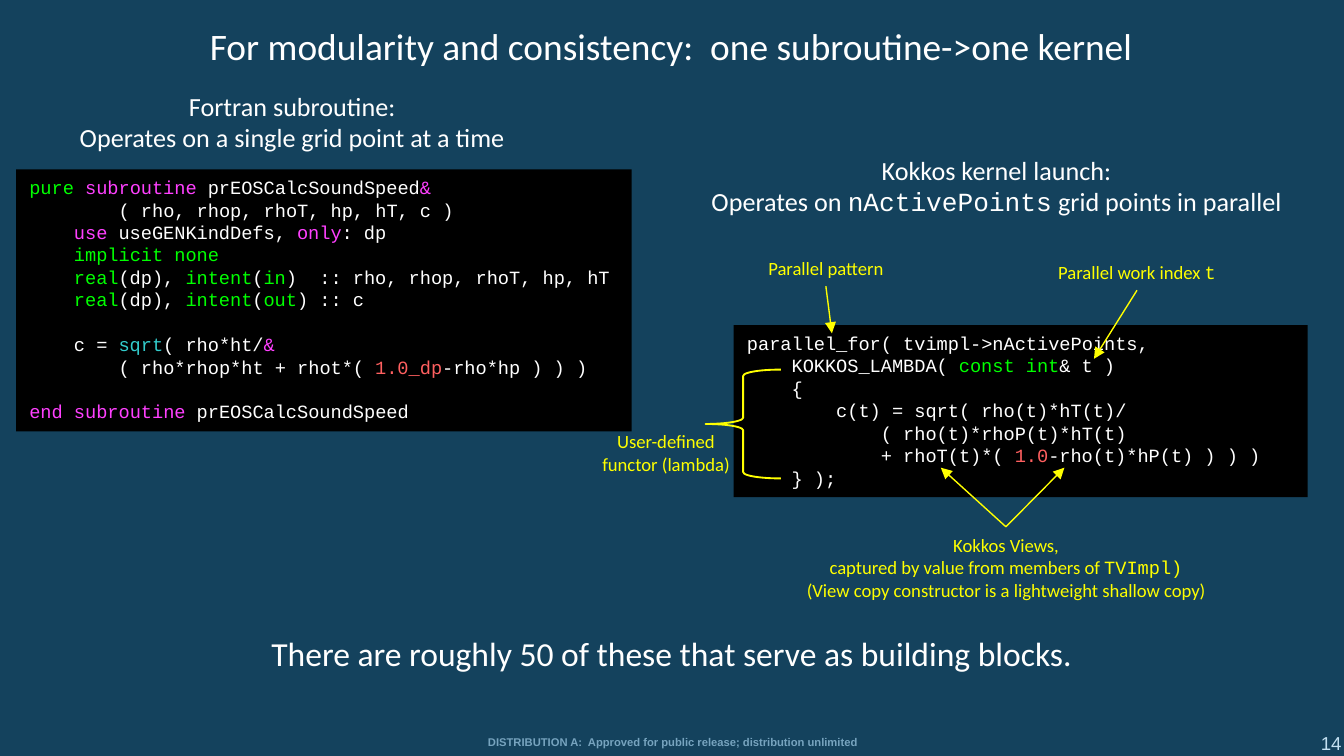
import lxml.etree
import pptx
import pptx.dml.color
import pptx.enum.shapes
import pptx.enum.text
import pptx.oxml.ns
import pptx.util

RGB = pptx.dml.color.RGBColor
SHAPE = pptx.enum.shapes.MSO_SHAPE
ALIGN = pptx.enum.text.PP_ALIGN
ANCHOR = pptx.enum.text.MSO_ANCHOR
qn = pptx.oxml.ns.qn

NAVY = RGB(0x14, 0x42, 0x5D)
WHITE = RGB(0xFF, 0xFF, 0xFF)
BLACK = RGB(0x00, 0x00, 0x00)
YELLOW = RGB(0xFF, 0xFF, 0x00)
GREEN = RGB(0x00, 0xFF, 0x00)
MAGENTA = RGB(0xFF, 0x40, 0xFF)
RED = RGB(0xFF, 0x60, 0x60)
CYAN = RGB(0x33, 0xCC, 0xCC)
PALE = RGB(0xC4, 0xE1, 0xF2)
MUTED = RGB(0x77, 0xA4, 0xBF)

BODY, MONO, PLAIN = "Calibri", "Courier New", "Arial"

# A 16:9 slide on a grid of 100 columns by 56.25 rows
WIDTH = pptx.util.Inches(10)
HEIGHT = WIDTH * 9 // 16
COL, ROW = WIDTH / 100, HEIGHT / 56.25

# Code lines are lists of runs: a plain string is white, a pair carries its colour
INTENT = [("real", GREEN), "(dp), ", ("intent", GREEN), "("]
FORTRAN = [
    [("pure ", GREEN), ("subroutine ", MAGENTA), "prEOSCalcSoundSpeed", ("&", MAGENTA)],
    ["        ( rho, rhop, rhoT, hp, hT, c )"],
    ["    ", ("use ", MAGENTA), "useGENKindDefs, ", ("only", MAGENTA), ": dp"],
    ["    ", ("implicit none", GREEN)],
    ["    ", *INTENT, ("in", GREEN), ")  :: rho, rhop, rhoT, hp, hT"],
    ["    ", *INTENT, ("out", GREEN), ") :: c"],
    [],
    ["    c = ", ("sqrt", CYAN), "( rho*ht/", ("&", MAGENTA)],
    ["        ( rho*rhop*ht + rhot*( ", ("1.0_dp", RED), "-rho*hp ) ) )"],
    [],
    [("end subroutine ", MAGENTA), "prEOSCalcSoundSpeed"],
]
KOKKOS = [
    ["parallel_for( tvimpl->nActivePoints,"],
    ["    KOKKOS_LAMBDA( ", ("const int", GREEN), "& t )"],
    ["    {"],
    ["        c(t) = sqrt( rho(t)*hT(t)/"],
    ["            ( rho(t)*rhoP(t)*hT(t)"],
    ["            + rhoT(t)*( ", ("1.0", RED), "-rho(t)*hP(t) ) ) )"],
    ["    } );"],
]


def cells(x, y, w, h):
    return round(x * COL), round(y * ROW), round(w * COL), round(h * ROW)


def add_run(p, text, size, font, color, bold=False):
    r = p.add_run()
    r.text = text
    r.font.size = pptx.util.Pt(size)
    r.font.name = font
    r.font.bold = bold
    r.font.color.rgb = color


def add_paragraphs(tf, lines, align):
    """Yield one paragraph with its line for every entry of lines."""
    tf.word_wrap = True
    for i, line in enumerate(lines):
        p = tf.add_paragraph() if i else tf.paragraphs[0]
        p.alignment = align
        yield p, line


def add_label(s, box, lines, size, color, font=BODY, bold=False, align=ALIGN.CENTER):
    """Text box; within a line, every second run is monospaced."""
    sp = s.shapes.add_textbox(*cells(*box))
    for p, line in add_paragraphs(sp.text_frame, lines, align):
        for i, text in enumerate(line):
            add_run(p, text, size, MONO if i % 2 else font, color, bold)
    return sp


def add_code(s, box, lines, size=10):
    sp = s.shapes.add_shape(SHAPE.RECTANGLE, *cells(*box))
    sp.shadow.inherit = False
    sp.fill.solid()
    sp.fill.fore_color.rgb = BLACK
    sp.line.fill.background()
    sp.text_frame.vertical_anchor = ANCHOR.TOP
    for p, line in add_paragraphs(sp.text_frame, lines, ALIGN.LEFT):
        for run in line:
            text, color = (run, WHITE) if isinstance(run, str) else run
            add_run(p, text, size, MONO, color)
        if not line:
            lxml.etree.SubElement(p._p, qn("a:endParaRPr"), sz=str(size * 100))


def add_pointer(s, label, side, x, y):
    """Arrow from the middle of a label's side to a grid position."""
    end = round(x * COL), round(y * ROW)
    c = s.shapes.add_connector(pptx.enum.shapes.MSO_CONNECTOR.STRAIGHT, 0, 0, *end)
    c.begin_connect(label, side)
    c.line.color.rgb = YELLOW
    c.line.width = pptx.util.Pt(0.75)
    lxml.etree.SubElement(c.line._get_or_add_ln(), qn("a:tailEnd"), type="triangle")
    lxml.etree.SubElement(c._element.spPr, qn("a:effectLst"))


def add_brace(s, box):
    sp = s.shapes.add_shape(SHAPE.LEFT_BRACE, *cells(*box))
    sp.shadow.inherit = False
    sp.fill.background()
    sp.line.color.rgb = YELLOW
    sp.line.width = pptx.util.Pt(1)


def set_title(s, box, text):
    sp = s.shapes.title
    sp.left, sp.top, sp.width, sp.height = cells(*box)
    sp.text_frame.vertical_anchor = ANCHOR.MIDDLE
    for p, line in add_paragraphs(sp.text_frame, [text], ALIGN.CENTER):
        add_run(p, line, 20, BODY, WHITE)


def main():
    prs = pptx.Presentation()
    prs.slide_width, prs.slide_height = WIDTH, HEIGHT
    s = prs.slides.add_slide(prs.slide_layouts[5])
    s.background.fill.solid()
    s.background.fill.fore_color.rgb = NAVY

    # Footer and page number
    add_label(s, (95, 54, 5.8, 2.7), [["14"]], 10, PALE, PLAIN, align=ALIGN.RIGHT)
    add_label(s, (4.2, 54.2, 91.7, 2),
              [["DISTRIBUTION A:  Approved for public release; distribution unlimited"]],
              6, MUTED, PLAIN, bold=True)

    # Title and closing statement
    set_title(s, (0, 1.2, 99.9, 4.4),
              "For modularity and consistency:  one subroutine->one kernel")
    add_label(s, (17.1, 46.6, 65.8, 4),
              [["There are roughly 50 of these that serve as building blocks."]], 18, WHITE)

    # Headings of the two listings
    add_label(s, (4.3, 6.2, 34.9, 5.7),
              [["Fortran subroutine:"], ["Operates on a single grid point at a time"]], 14, WHITE)
    add_label(s, (51.7, 11, 44.9, 5.7),
              [["Kokkos kernel launch:"],
               ["Operates on ", "nActivePoints", " grid points in parallel"]], 14, WHITE)

    # Code listings
    add_code(s, (54.6, 24.2, 42.7, 12.8), KOKKOS)
    add_code(s, (1.2, 12.6, 45.8, 19.5), FORTRAN)

    # Annotations of the kernel
    views = add_label(s, (52.4, 39.2, 44.9, 6.1),
                      [["Kokkos Views,"],
                       ["captured by value from members of ", "TVImpl)"],
                       ["(View copy constructor is a lightweight shallow copy)"]], 10, YELLOW)
    pattern = add_label(s, (55.6, 18.6, 11.7, 2.7), [["Parallel pattern"]], 10, YELLOW)
    index = add_label(s, (77.5, 18.9, 14.2, 2.7), [["Parallel work index ", "t"]], 10, YELLOW)
    add_label(s, (43.7, 31.5, 11.7, 4.4), [["User-defined functor (lambda)"]], 10, YELLOW)

    # Arrows (side 0 is top, 2 is bottom) and brace
    for label, side, x, y in [(pattern, 2, 61.9, 24.8), (index, 2, 81.4, 26.7),
                              (views, 0, 70, 34.8), (views, 0, 79.2, 34.8)]:
        add_pointer(s, label, side, x, y)
    add_brace(s, (52.5, 27.5, 5.6, 8.1))

    prs.save("out.pptx")


if __name__ == "__main__":
    main()
